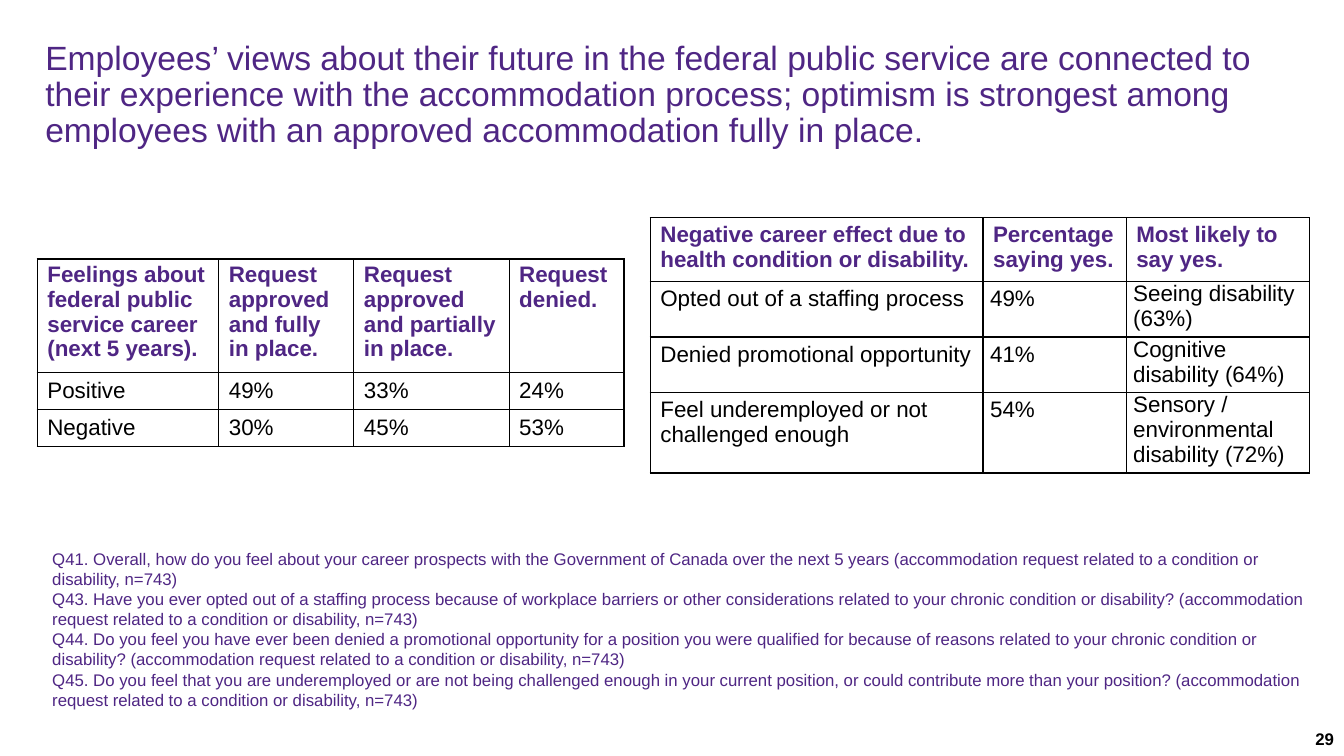
"""Build the slide on career outlook and the accommodation process."""
import pptx
import pptx.dml.color
import pptx.enum.text
import pptx.oxml
import pptx.oxml.ns
import pptx.util

Inches = pptx.util.Inches
Pt = pptx.util.Pt
MIDDLE = pptx.enum.text.MSO_ANCHOR.MIDDLE
TOP = pptx.enum.text.MSO_ANCHOR.TOP
PURPLE, BLACK, WHITE = "4F2684", "000000", "FFFFFF"


def color(code):
    return pptx.dml.color.RGBColor.from_string(code)


def write(para, text, size, code, bold=False):
    run = para.add_run()
    run.text = text
    run.font.name = "Arial"
    run.font.size = Pt(size)
    run.font.bold = bold
    run.font.color.rgb = color(code)


deck = pptx.Presentation()
deck.slide_width, deck.slide_height = Inches(13.33), Inches(7.5)
slide = deck.slides.add_slide(deck.slide_layouts[6])

title = slide.shapes.add_textbox(Inches(0.45), Inches(0.39), Inches(12.53), Inches(1.13))
frame = title.text_frame
frame.word_wrap = True
frame.margin_left = frame.margin_right = 0
frame.margin_top = frame.margin_bottom = Inches(0.02)
frame.paragraphs[0].line_spacing = 0.9
write(frame.paragraphs[0], "Employees’ views about their future in the federal public service "
      "are connected to their experience with the accommodation process; optimism is strongest "
      "among employees with an approved accommodation fully in place.", 24, PURPLE)

feelings = [
    ["Feelings about federal public service career (next 5 years).",
     "Request approved and fully in place.",
     "Request approved and partially in place.", "Request denied."],
    ["Positive", "49%", "33%", "24%"],
    ["Negative", "30%", "45%", "53%"],
]
effects = [
    ["Negative career effect due to health condition or disability.",
     "Percentage saying yes.", "Most likely to say yes."],
    ["Opted out of a staffing process", "49%", "Seeing disability (63%)"],
    ["Denied promotional opportunity", "41%", "Cognitive disability (64%)"],
    ["Feel underemployed or not challenged enough", "54%",
     "Sensory / environmental disability (72%)"],
]
tables = [
    (feelings, 0.37, 2.57, [1.8, 1.34, 1.54, 1.14], [0.41, 0.32, 0.32]),
    (effects, 6.45, 2.16, [3.3, 1.42, 1.82], [0.59, 0.55, 0.55, 0.75]),
]
for data, left, top, widths, heights in tables:
    table = slide.shapes.add_table(
        len(heights), len(widths), Inches(left), Inches(top),
        Inches(sum(widths)), Inches(sum(heights))).table
    table.first_row = table.horz_banding = False
    for col, width in zip(table.columns, widths):
        col.width = Inches(width)
    for row, height in zip(table.rows, heights):
        row.height = Inches(height)
    for r, line in enumerate(data):
        for c, text in enumerate(line):
            cell = table.cell(r, c)
            head = r == 0
            side, edge = 0.1, 0.05
            para = cell.text_frame.paragraphs[0]
            cell.vertical_anchor = TOP
            if data is feelings:
                if head:
                    edge = 0.03
                else:
                    cell.vertical_anchor = MIDDLE
            elif not head and c > 0:
                side, edge = 0.07, 0
                if c == 1:
                    para.line_spacing = 1.2
            cell.margin_left = cell.margin_right = Inches(side)
            cell.margin_top = cell.margin_bottom = Inches(edge)
            if head:
                cell.fill.background()
            else:
                cell.fill.solid()
                cell.fill.fore_color.rgb = color(WHITE)
            write(para, text, 16, PURPLE if head else BLACK, head)
            props = cell._tc.get_or_add_tcPr()
            for spot, name in enumerate(["lnL", "lnR", "lnT", "lnB"]):
                props.insert(spot, pptx.oxml.parse_xml(
                    f'<a:{name} {pptx.oxml.ns.nsdecls("a")} w="{Pt(1)}"><a:solidFill>'
                    f'<a:srgbClr val="{BLACK}"/></a:solidFill></a:{name}>'))

notes = [
    "Q41. Overall, how do you feel about your career prospects with the Government of Canada "
    "over the next 5 years",
    "Q43. Have you ever opted out of a staffing process because of workplace barriers or other "
    "considerations related to your chronic condition or disability?",
    "Q44. Do you feel you have ever been denied a promotional opportunity for a position you "
    "were qualified for because of reasons related to your chronic condition or disability?",
    "Q45. Do you feel that you are underemployed or are not being challenged enough in your "
    "current position, or could contribute more than your position?",
]
base = " (accommodation request related to a condition or disability, n=743)"
box = slide.shapes.add_textbox(Inches(0.42), Inches(5.39), Inches(12.66), Inches(1.72))
frame = box.text_frame
frame.word_wrap = True
for n, note in enumerate(notes):
    para = frame.add_paragraph() if n else frame.paragraphs[0]
    write(para, note + base, 12, PURPLE)

page = slide.shapes.add_textbox(Inches(10.33), Inches(7.18), Inches(3), Inches(0.32))
page.text_frame.word_wrap = True
para = page.text_frame.paragraphs[0]
para.alignment = pptx.enum.text.PP_ALIGN.RIGHT
write(para, "29", 12, BLACK, True)

deck.save("out.pptx")
